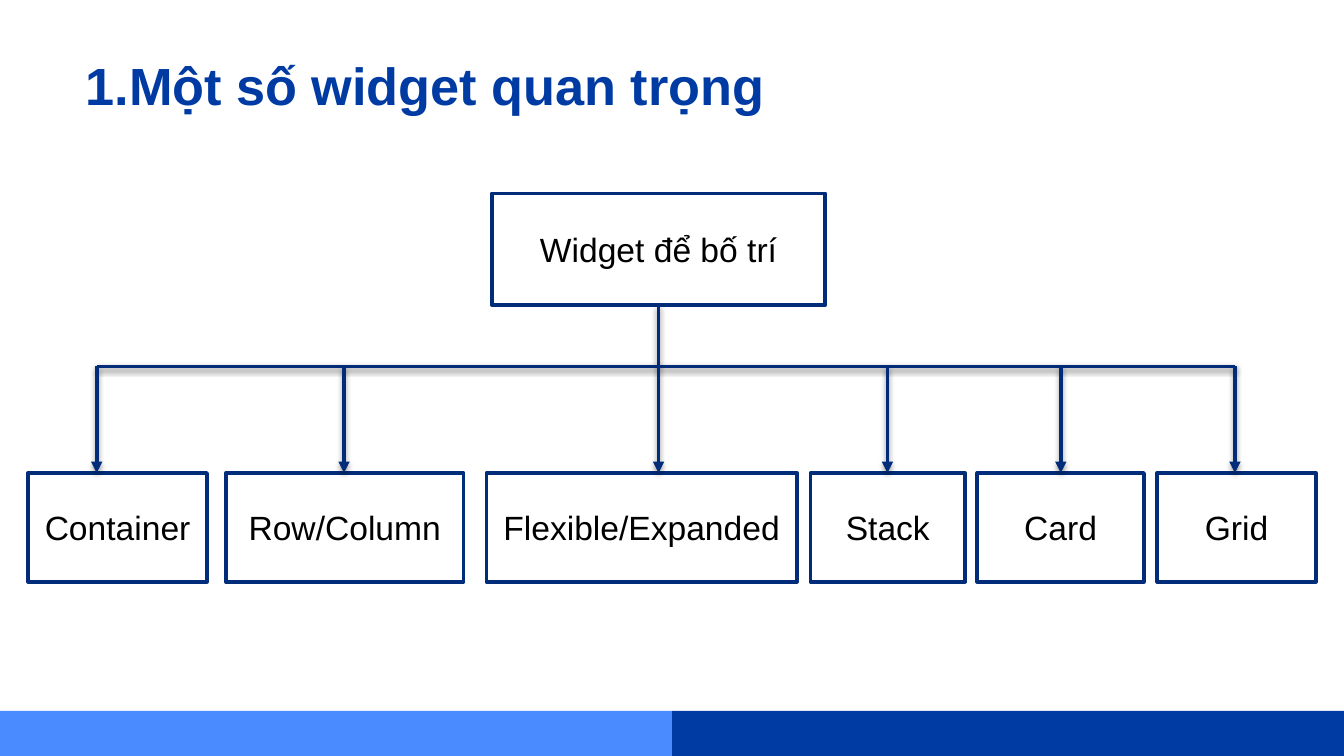
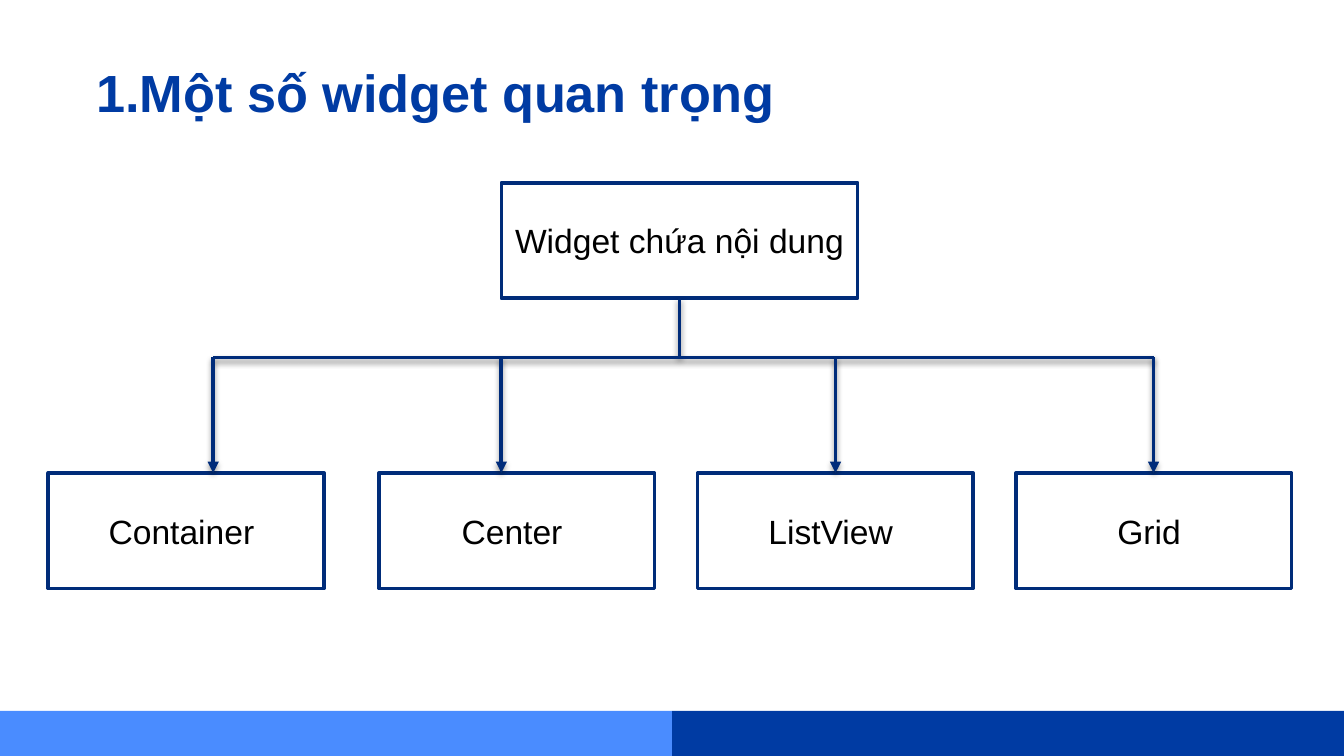
from lxml.etree import SubElement
from pptx import Presentation
from pptx.dml.color import RGBColor
from pptx.enum.shapes import MSO_CONNECTOR, MSO_SHAPE
from pptx.enum.text import MSO_ANCHOR, PP_ALIGN
from pptx.oxml.ns import qn
from pptx.util import Pt

WIDE, HIGH = 720, 405
FONT = "Arial"
DEEP, LIGHT, EDGE, RULE = "003BA3", "4A8CFF", "002C79", "002C7A"
WHITE, BLACK = "FFFFFF", "000000"
TITLE = "1.Một số widget quan trọng"
BAND = 24.2
ROW = 253.4

PAGES = [
    {
        "title": (38.9, 18),
        "root": ("Widget để bố trí", 263.5, 103.7, 178.6, 59.8),
        "bar": 196.3,
        "tall": 58.3,
        "kids": [
            ("Container", 15.1, 95.8, 51.8),
            ("Row/Column", 121, 127.4, 184.3),
            ("Flexible/Expanded", 260.6, 166.3, 352.8),
            ("Stack", 434.2, 82.8, 475.4),
            ("Card", 523.6, 89.3, 568.3),
            ("Grid", 619.9, 85, 661.6),
        ],
    },
    {
        "title": (44.6, 21.6),
        "root": ("Widget chứa nội dung", 268.6, 97.9, 190.8, 61.9),
        "bar": 191.5,
        "tall": 61.9,
        "kids": [
            ("Container ", 25.9, 147.6, 114.2),
            ("Center ", 203, 147.6, 268.6),
            ("ListView ", 373.7, 147.6, 447.6),
            ("Grid ", 544.3, 147.6, 618),
        ],
    },
]


def color(code):
    return RGBColor.from_string(code)


def write(frame, text, size, code, bold=False):
    run = frame.paragraphs[0].add_run()
    run.text = text
    run.font.name = FONT
    run.font.size = Pt(size)
    run.font.bold = bold
    run.font.color.rgb = color(code)


def block(slide, left, top, width, height, fill, edge=None):
    shape = slide.shapes.add_shape(
        MSO_SHAPE.RECTANGLE, Pt(left), Pt(top), Pt(width), Pt(height))
    shape.shadow.inherit = False
    shape.fill.solid()
    shape.fill.fore_color.rgb = color(fill)
    if edge:
        shape.line.color.rgb = color(edge)
        shape.line.width = Pt(2)
    else:
        shape.line.fill.background()
    return shape


def node(slide, text, left, top, width, height):
    frame = block(slide, left, top, width, height, WHITE, EDGE).text_frame
    frame.word_wrap = True
    frame.vertical_anchor = MSO_ANCHOR.MIDDLE
    frame.paragraphs[0].alignment = PP_ALIGN.CENTER
    write(frame, text, 18, BLACK)


def link(slide, x1, y1, x2, y2, arrow=False):
    line = slide.shapes.add_connector(
        MSO_CONNECTOR.STRAIGHT, Pt(x1), Pt(y1), Pt(x2), Pt(y2))
    line.line.color.rgb = color(RULE)
    line.line.width = Pt(2)
    if arrow:
        SubElement(line.line._get_or_add_ln(), qn("a:tailEnd"), type="triangle")
    props = line._element.spPr
    glow = SubElement(
        SubElement(props, qn("a:effectLst")), qn("a:outerShdw"),
        blurRad=str(Pt(3.1)), dist=str(Pt(1.6)), dir="5400000", rotWithShape="0")
    tint = SubElement(glow, qn("a:srgbClr"), val=BLACK)
    SubElement(tint, qn("a:alpha"), val="38000")


def frame_page(slide, left, top):
    half = WIDE / 2
    for side, fill in ((half, DEEP), (0, LIGHT)):
        block(slide, side, HIGH - BAND, half, BAND, fill)
    box = slide.shapes.add_textbox(Pt(left), Pt(top), Pt(607), Pt(45.4))
    frame = box.text_frame
    frame.word_wrap = True
    frame.margin_left = frame.margin_right = frame.margin_bottom = Pt(7.2)
    frame.margin_top = Pt(10.5)
    write(frame, TITLE, 28, DEEP, True)


def draw_tree(slide, root, bar, tall, kids):
    text, left, top, width, height = root
    node(slide, *root)
    for name, start, span, tip in kids:
        node(slide, name, start, ROW, span, tall)
    mid = left + width / 2
    tips = [kid[-1] for kid in kids]
    link(slide, mid, top + height, mid, bar)
    link(slide, tips[0], bar, tips[-1], bar)
    for tip in tips:
        link(slide, tip, bar, tip, ROW, True)


def main():
    deck = Presentation()
    deck.slide_width, deck.slide_height = Pt(WIDE), Pt(HIGH)
    for page in PAGES:
        slide = deck.slides.add_slide(deck.slide_layouts[6])
        frame_page(slide, *page["title"])
        draw_tree(slide, page["root"], page["bar"], page["tall"], page["kids"])
    deck.save("out.pptx")


if __name__ == "__main__":
    main()
